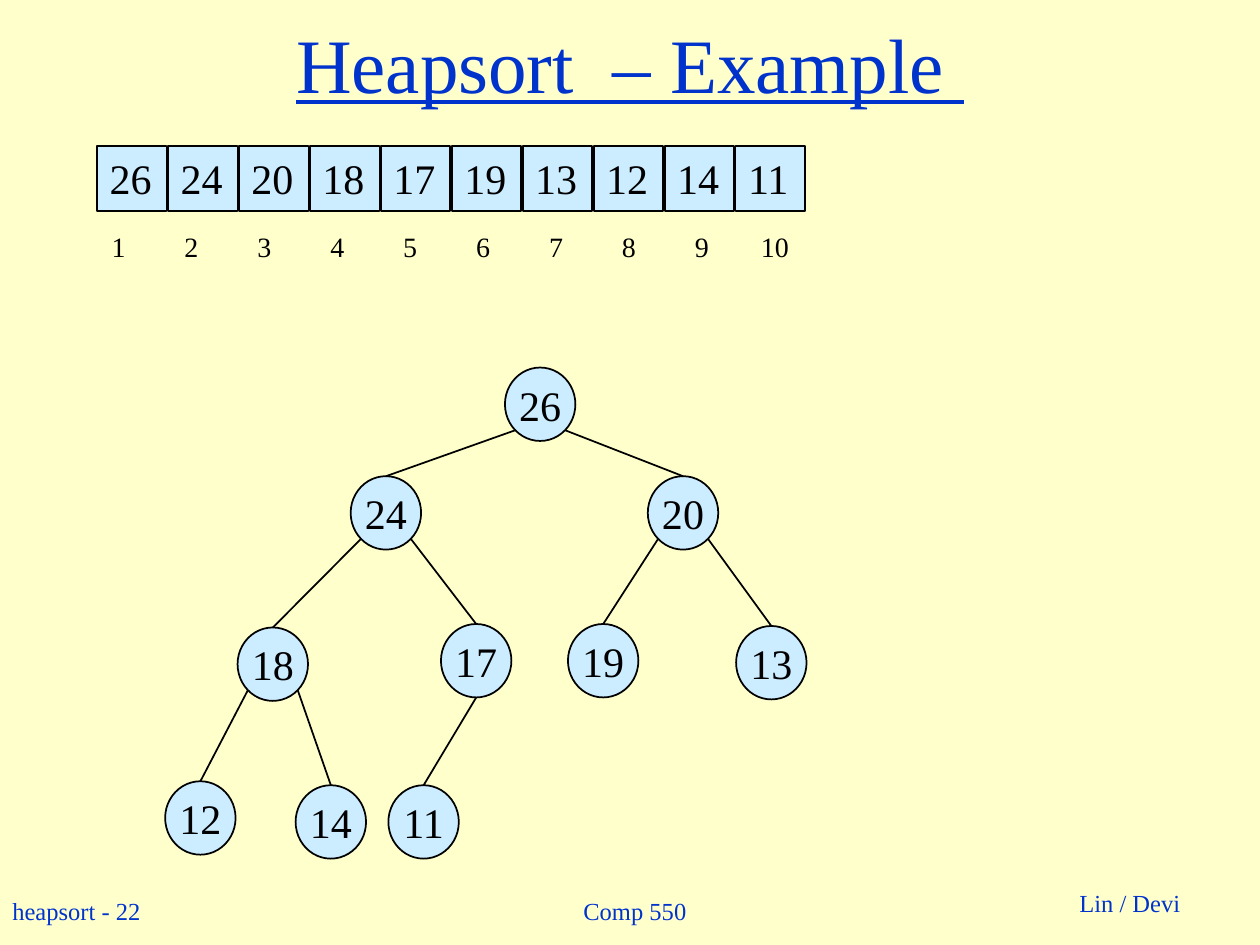
from math import sqrt

from pptx import Presentation
from pptx.dml.color import RGBColor
from pptx.enum.shapes import MSO_CONNECTOR as Connector, MSO_SHAPE as Shape
from pptx.enum.text import MSO_ANCHOR as Anchor, MSO_AUTO_SIZE as AutoSize, PP_ALIGN as Align
from pptx.oxml.ns import qn
from pptx.util import Cm, Pt
from lxml.etree import SubElement


def color(value):
    return RGBColor.from_string(value)


def write(box, text, size=24, ink="000000", font="Times New Roman",
          align=Align.LEFT, anchor=Anchor.TOP, underline=False, wrap=False):
    frame = box.text_frame
    frame.auto_size = AutoSize.NONE
    frame.word_wrap = wrap
    frame.vertical_anchor = anchor
    para = frame.paragraphs[0]
    para.alignment = align
    span = para.add_run()
    span.text = text
    span.font.name = font
    span.font.size = Pt(size)
    span.font.color.rgb = color(ink)
    span.font.underline = underline


class HeapPage:
    PAPER, FILL, INK, BLUE = "FFFFCC", "CCECFF", "000000", "0033CC"
    NODE_WIDTH, NODE_HEIGHT = 1.42, 1.48

    def __init__(self, deck):
        self.page = deck.slides.add_slide(deck.slide_layouts[5])
        self.page.background.fill.solid()
        self.page.background.fill.fore_color.rgb = color(self.PAPER)

    def title(self, text):
        box = self.page.shapes.title
        box.left, box.top, box.width, box.height = Cm(0), Cm(0), Cm(25.4), Cm(2.54)
        write(box, text, size=44, ink=self.BLUE, align=Align.CENTER,
              anchor=Anchor.MIDDLE, underline=True, wrap=True)

    def label(self, text, left, top, width, height, **style):
        box = self.page.shapes.add_textbox(Cm(left), Cm(top), Cm(width), Cm(height))
        write(box, text, **style)

    def shape(self, kind, text, left, top, width, height, **style):
        box = self.page.shapes.add_shape(kind, Cm(left), Cm(top), Cm(width), Cm(height))
        box.shadow.inherit = False
        box.fill.solid()
        box.fill.fore_color.rgb = color(self.FILL)
        box.line.color.rgb = color(self.INK)
        box.line.width = Pt(1)
        write(box, text, **style)

    def node(self, text, x, y):
        self.shape(Shape.OVAL, text, x - self.NODE_WIDTH / 2, y - self.NODE_HEIGHT / 2,
                   self.NODE_WIDTH, self.NODE_HEIGHT, align=Align.CENTER, anchor=Anchor.MIDDLE)

    def edge(self, parent, child, side):
        drop = sqrt(0.5) if side else 1
        x = parent[0] + side * sqrt(0.5) * self.NODE_WIDTH / 2
        y = parent[1] + drop * self.NODE_HEIGHT / 2
        line = self.page.shapes.add_connector(
            Connector.STRAIGHT, Cm(x), Cm(y),
            Cm(child[0]), Cm(child[1] - self.NODE_HEIGHT / 2))
        line.line.color.rgb = color(self.INK)
        line.line.width = Pt(1)
        SubElement(line._element.spPr, qn("a:effectLst"))


HEAP = [26, 24, 20, 18, 17, 19, 13, 12, 14, 11]
CENTERS = [(10.89, 8.15), (7.78, 10.34), (13.77, 10.34), (5.5, 13.39), (9.6, 13.32),
           (12.16, 13.32), (15.55, 13.36), (4.04, 16.49), (6.67, 16.57), (8.54, 16.57)]

deck = Presentation()
deck.slide_width, deck.slide_height = Cm(25.4), Cm(19.05)
heap_page = HeapPage(deck)
footer = {"size": 14, "ink": heap_page.BLUE}
heap_page.label("heapsort - 22", 0, 17.93, 3.18, 0.84, **footer)
heap_page.label("Lin / Devi", 21.51, 17.78, 2.54, 0.84, **footer)
heap_page.label("Comp 550", 10.16, 17.73, 5.28, 1.27,
                align=Align.CENTER, anchor=Anchor.MIDDLE, **footer)
heap_page.title("Heapsort  – Example ")

for index, value in enumerate(HEAP):
    heap_page.shape(Shape.RECTANGLE, str(value), 1.96 + 1.43 * index, 2.95, 1.4, 1.3)
    heap_page.label(str(index + 1), 1.69 + 1.47 * index, 4.5, 1.4, 0.94,
                    size=16, align=Align.CENTER)

for index, (value, center) in enumerate(zip(HEAP, CENTERS)):
    heap_page.node(str(value), *center)
    if index:
        only_child = index % 2 and index == len(HEAP) - 1
        side = 0 if only_child else -1 if index % 2 else 1
        heap_page.edge(CENTERS[(index - 1) // 2], center, side)

deck.save("out.pptx")
